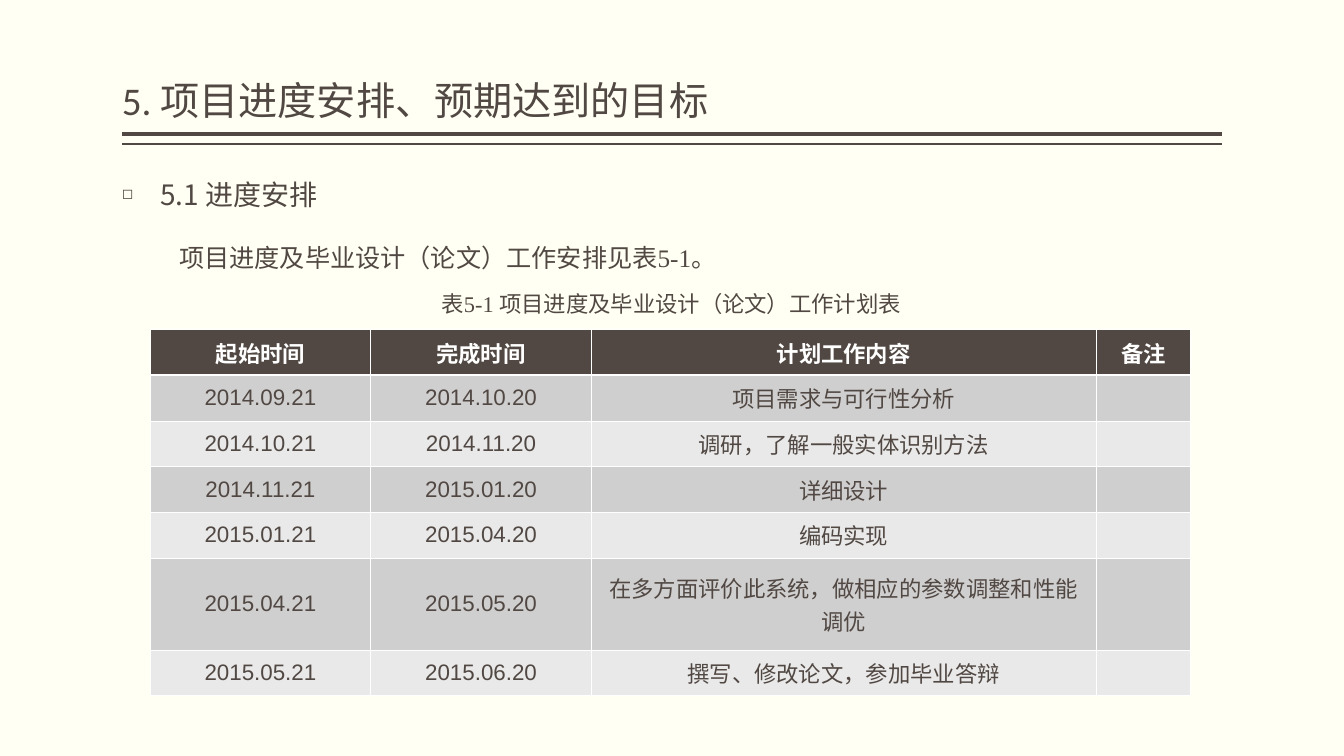
from lxml import etree
from pptx import Presentation
from pptx.dml.color import RGBColor
from pptx.enum.shapes import MSO_CONNECTOR
from pptx.enum.text import MSO_ANCHOR, PP_ALIGN
from pptx.oxml.ns import qn
from pptx.util import Pt

PX = 9144  # EMU; 100 px to the inch
BROWN = RGBColor(0x51, 0x48, 0x43)
WHITE = RGBColor(0xFF, 0xFF, 0xFF)
CREAM = RGBColor(0xFF, 0xFF, 0xF3)
DARK = RGBColor(0xD0, 0xCF, 0xCF)
LIGHT = RGBColor(0xE9, 0xE9, 0xE9)
LINE = MSO_CONNECTOR.STRAIGHT
TOP, MID, LOW = MSO_ANCHOR.TOP, MSO_ANCHOR.MIDDLE, MSO_ANCHOR.BOTTOM
LEFT, MIDDLE, FULL = PP_ALIGN.LEFT, PP_ALIGN.CENTER, PP_ALIGN.JUSTIFY

COLS = [219, 219, 501, 94]
ROWS = [45, 46, 45, 45, 46, 91, 45]
PLAN = [
    ("起始时间", "完成时间", "计划工作内容", "备注"),
    ("2014.09.21", "2014.10.20", "项目需求与可行性分析", ""),
    ("2014.10.21", "2014.11.20", "调研，了解一般实体识别方法", ""),
    ("2014.11.21", "2015.01.20", "详细设计", ""),
    ("2015.01.21", "2015.04.20", "编码实现", ""),
    ("2015.04.21", "2015.05.20", "在多方面评价此系统，做相应的参数调整和性能调优", ""),
    ("2015.05.21", "2015.06.20", "撰写、修改论文，参加毕业答辩", ""),
]


def px(*nums):
    return [n * PX for n in nums]


def style(para, face, size, color, bold=False):
    font = para.font
    font.name, font.size, font.bold = face, Pt(size), bold
    font.color.rgb = color


def add_rule(slide, y, width):
    rule = slide.shapes.add_connector(LINE, *px(121, y, 1213, y))
    rule.line.color.rgb = BROWN
    rule.line.width = Pt(width)
    etree.SubElement(rule._element.spPr, qn("a:effectLst"))


def add_bullet(para):
    props = para._p.get_or_add_pPr()
    props.set("marL", str(38 * PX))
    props.set("indent", str(-38 * PX))
    etree.SubElement(props, qn("a:buSzPct"), val="50000")
    etree.SubElement(props, qn("a:buChar"), char="◻")


def add_text(slide, box, text, face, size, space, align=LEFT,
             anchor=TOP, side=10, bullet=False):
    frame = slide.shapes.add_textbox(*px(*box)).text_frame
    frame.word_wrap = True
    frame.vertical_anchor = anchor
    frame.margin_left = frame.margin_right = side * PX
    frame.margin_top = frame.margin_bottom = 5 * PX
    para = frame.paragraphs[0]
    para.text = text
    para.alignment = align
    para.line_spacing = space
    if bullet:
        add_bullet(para)
    style(para, face, size, BROWN)


def add_edge(cell, side, width):
    """Draw one white border; call before the cell gets its fill."""
    edge = etree.SubElement(cell._tc.get_or_add_tcPr(), qn(f"a:ln{side}"),
                            w=str(Pt(width)))
    fill = etree.SubElement(edge, qn("a:solidFill"))
    etree.SubElement(fill, qn("a:srgbClr"), val=str(WHITE))


def fill_cell(cell, text, row):
    head = row == 0
    for side in "LRTB":
        thick = (row, side) in ((0, "B"), (1, "T"))
        add_edge(cell, side, 1.47 if thick else 0.45)
    cell.fill.solid()
    cell.fill.fore_color.rgb = BROWN if head else DARK if row % 2 else LIGHT
    cell.vertical_anchor = MID
    cell.margin_left = cell.margin_right = 8 * PX
    cell.margin_top = cell.margin_bottom = 5 * PX
    para = cell.text_frame.paragraphs[0]
    para.text = text
    para.alignment = MIDDLE
    style(para, "Arial", 16, WHITE if head else BROWN, head)


def add_plan(slide):
    box = px(149, 327, sum(COLS), sum(ROWS))
    table = slide.shapes.add_table(len(ROWS), len(COLS), *box).table
    for col, width in zip(table.columns, COLS):
        col.width = width * PX
    for r, (row, height) in enumerate(zip(table.rows, ROWS)):
        row.height = height * PX
        for cell, text in zip(row.cells, PLAN[r]):
            fill_cell(cell, text, r)


def main():
    deck = Presentation()
    deck.slide_width, deck.slide_height = px(1334, 750)
    slide = deck.slides.add_slide(deck.slide_layouts[6])
    back = slide.background.fill
    back.solid()
    back.fore_color.rgb = CREAM

    add_rule(slide, 133, 3)
    add_rule(slide, 143, 1)
    add_text(slide, (121, 8, 1091, 120), "5. 项目进度安排、预期达到的目标",
             "Calibri", 28, 0.9, anchor=LOW, side=0)
    add_text(slide, (121, 175, 1092, 500), "5.1 进度安排",
             "Noto Sans CJK SC", 20, 0.9, side=0, bullet=True)
    add_text(slide, (168, 228, 553, 48),
             "项目进度及毕业设计（论文）工作安排见表5-1。",
             "Times New Roman", 18, 1.25, FULL)
    add_text(slide, (423, 276, 487, 44),
             "表5-1 项目进度及毕业设计（论文）工作计划表",
             "Times New Roman", 16, 1.25, MIDDLE)
    add_plan(slide)
    deck.save("out.pptx")


if __name__ == "__main__":
    main()
